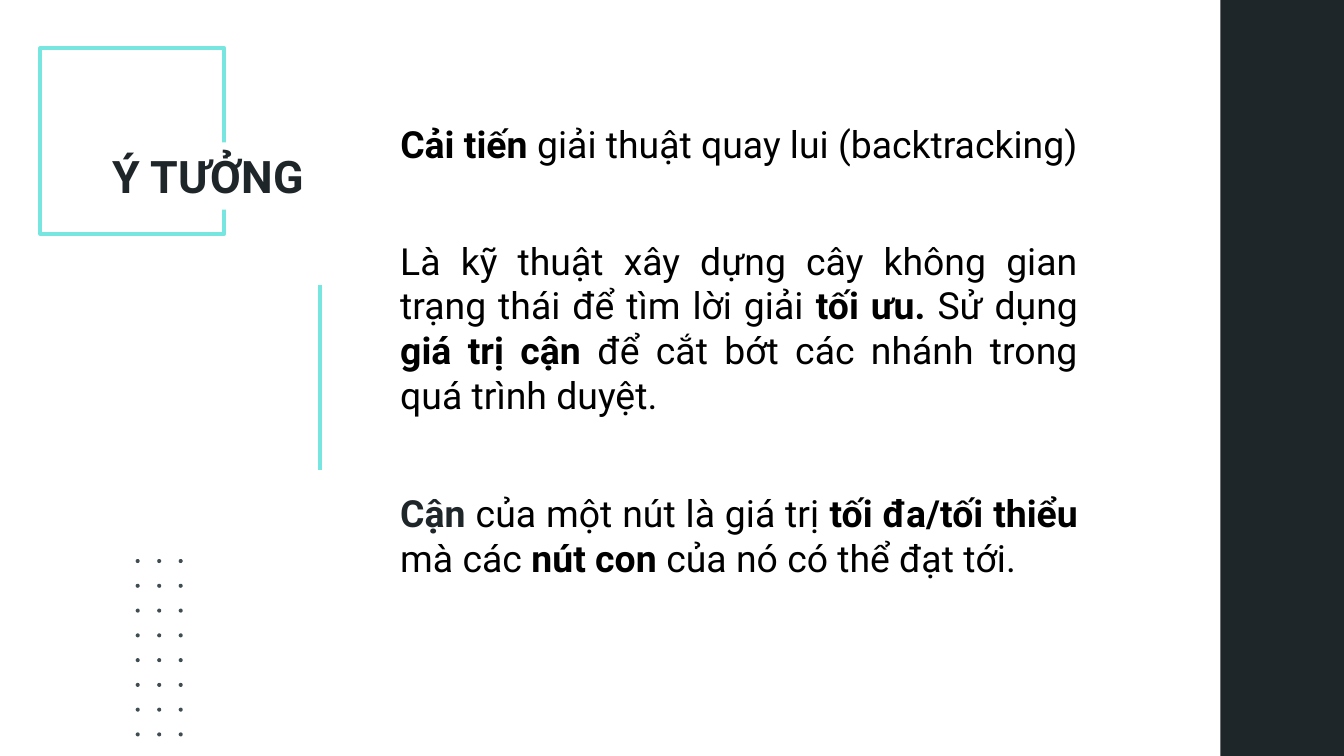
from itertools import product

from pptx import Presentation
from pptx.dml.color import RGBColor
from pptx.enum.shapes import MSO_CONNECTOR, MSO_SHAPE
from pptx.enum.text import MSO_ANCHOR, MSO_AUTO_SIZE, PP_ALIGN
from pptx.oxml.ns import qn
from pptx.util import Inches, Pt
from lxml.etree import SubElement

COLORS = {
    "dark": "1F262A",
    "accent": "77E5E0",
    "dot": "3F4D53",
    "text": "000000",
    "white": "FFFFFF",
}


def color(name):
    return RGBColor.from_string(COLORS[name])


class SlideBuilder:
    font_name = "Roboto"

    def __init__(self, presentation):
        self.slide = presentation.slides.add_slide(presentation.slide_layouts[5])
        self.shapes = self.slide.shapes

    def shape(self, kind, left, top, width, height, fill=None, line=None):
        shape = self.shapes.add_shape(
            kind, Inches(left), Inches(top), Inches(width), Inches(height))
        shape.shadow.inherit = False
        if fill:
            shape.fill.solid()
            shape.fill.fore_color.rgb = color(fill)
        else:
            shape.fill.background()
        if line:
            shape.line.color.rgb = color(line)
            shape.line.width = Pt(2)
        else:
            shape.line.fill.background()

    def style(self, paragraph, size, align):
        paragraph.alignment = align
        paragraph.font.name = self.font_name
        paragraph.font.size = Pt(size)

    def title(self, text, left, top, width, height):
        title = self.shapes.title
        title.left, title.top = Inches(left), Inches(top)
        title.width, title.height = Inches(width), Inches(height)
        title.fill.solid()
        title.fill.fore_color.rgb = color("white")
        frame = title.text_frame
        frame.text = text
        frame.word_wrap = False
        frame.auto_size = MSO_AUTO_SIZE.NONE
        frame.vertical_anchor = MSO_ANCHOR.TOP
        paragraph = frame.paragraphs[0]
        self.style(paragraph, 24, PP_ALIGN.LEFT)
        paragraph.font.bold = True
        paragraph.font.color.rgb = color("dark")
        self.shapes._spTree.append(title._element)

    def text(self, runs, left, top, width, height, wrap=True):
        box = self.shapes.add_textbox(
            Inches(left), Inches(top), Inches(width), Inches(height))
        frame = box.text_frame
        frame.word_wrap = wrap
        paragraph = frame.paragraphs[0]
        self.style(paragraph, 20, PP_ALIGN.JUSTIFY if wrap else PP_ALIGN.LEFT)
        for text, bold, color_name in runs:
            run = paragraph.add_run()
            run.text = text
            run.font.bold = bold
            run.font.color.rgb = color(color_name)

    def line(self, x1, y1, x2, y2):
        connector = self.shapes.add_connector(
            MSO_CONNECTOR.STRAIGHT, Inches(x1), Inches(y1), Inches(x2), Inches(y2))
        connector.line.color.rgb = color("accent")
        connector.line.width = Pt(2.25)
        SubElement(connector._element.spPr, qn("a:effectLst"))

    def dots(self, left, top, columns, rows, column_step, row_step, size):
        for column, row in product(range(columns), range(rows)):
            self.shape(MSO_SHAPE.OVAL, left + column * column_step,
                       top + row * row_step, size, size, fill="dot")


def main():
    presentation = Presentation()
    presentation.slide_width = Inches(10)
    presentation.slide_height = Inches(10 * 9 / 16)
    builder = SlideBuilder(presentation)

    builder.shape(MSO_SHAPE.RECTANGLE, 9.08, 0, 0.93, 5.65, fill="dark")
    builder.shape(MSO_SHAPE.RECTANGLE, 0.3, 0.36, 1.37, 1.38, line="accent")
    builder.title("Ý TƯỞNG", 0.74, 1.06, 1.65, 0.5)
    builder.dots(1.01, 4.16, columns=3, rows=8,
                 column_step=0.16, row_step=1.29 / 7, size=0.03)

    builder.text([
        ("Cải tiến ", True, "text"),
        ("giải thuật quay lui (backtracking)", False, "text"),
    ], 2.88, 0.85, 5.31, 0.44, wrap=False)
    builder.text([
        ("Là kỹ thuật xây dựng cây không gian trạng thái để tìm lời giải ", False, "text"),
        ("tối ưu. ", True, "text"),
        ("Sử dụng ", False, "text"),
        ("giá trị cận", True, "text"),
        (" để cắt bớt các nhánh trong quá trình duyệt.", False, "text"),
    ], 2.88, 1.72, 5.24, 1.45)
    builder.text([
        ("Cận ", True, "dark"),
        ("của một nút là giá trị ", False, "text"),
        ("tối đa/tối thiểu ", True, "text"),
        ("mà các ", False, "text"),
        ("nút con ", True, "text"),
        ("của nó có thể đạt tới.", False, "text"),
    ], 2.88, 3.6, 5.24, 0.77)
    builder.line(2.38, 2.12, 2.38, 3.5)

    presentation.save("out.pptx")


if __name__ == "__main__":
    main()
